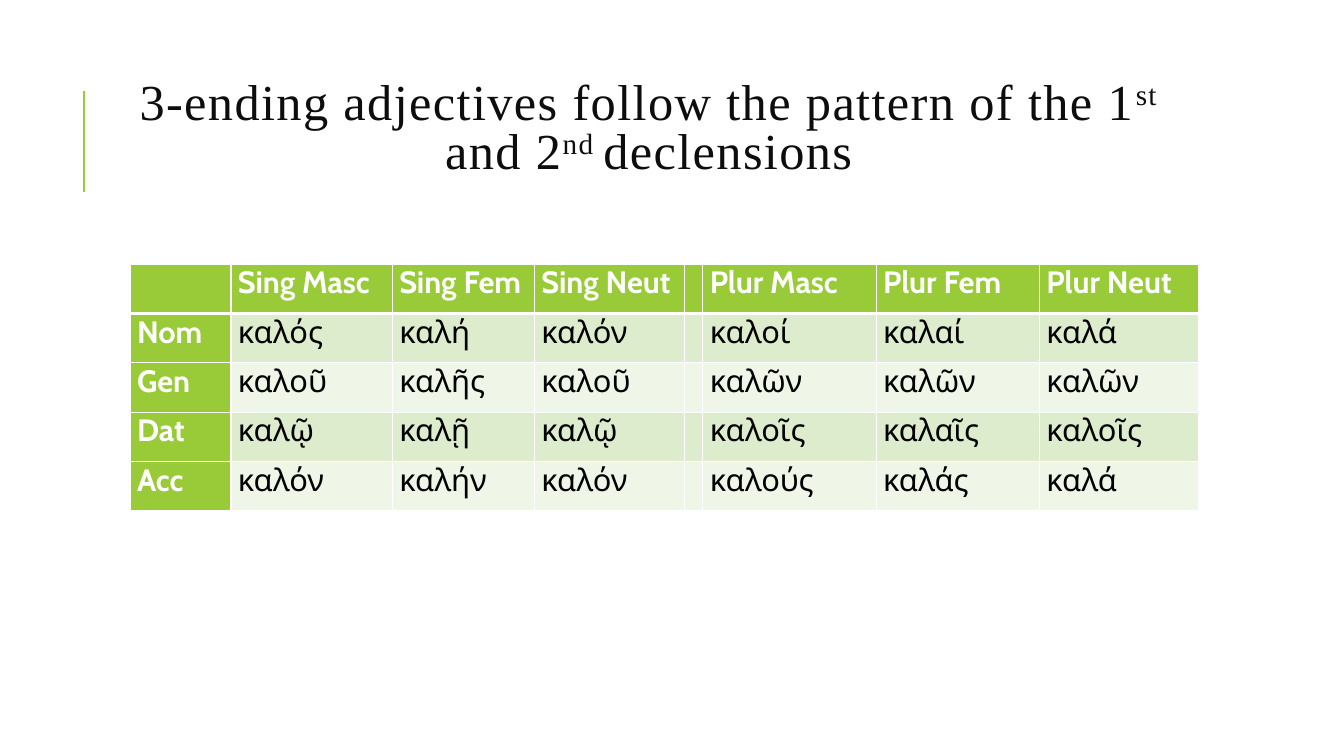
"""Build a slide showing the declension of three-ending Greek adjectives."""
from dataclasses import dataclass
from lxml import etree
from pptx import Presentation
from pptx.dml.color import RGBColor
from pptx.enum.shapes import MSO_CONNECTOR
from pptx.enum.text import MSO_ANCHOR, PP_ALIGN
from pptx.oxml.ns import qn
from pptx.util import Inches, Pt

STRAIGHT = MSO_CONNECTOR.STRAIGHT
MIDDLE = MSO_ANCHOR.MIDDLE
CENTER = PP_ALIGN.CENTER

TITLE = [
    ("3-ending adjectives follow the pattern of the 1", False),
    ("st", True),
    (" and 2", False),
    ("nd ", True),
    ("declensions", False),
]
DECLENSION = [
    ("", "Sing Masc", "Sing Fem", "Sing Neut", "", "Plur Masc", "Plur Fem", "Plur Neut"),
    ("Nom", "καλός", "καλή", "καλόν", "", "καλοί", "καλαί", "καλά"),
    ("Gen", "καλοῦ", "καλῆς", "καλοῦ", "", "καλῶν", "καλῶν", "καλῶν"),
    ("Dat", "καλῷ", "καλῇ", "καλῷ", "", "καλοῖς", "καλαῖς", "καλοῖς"),
    ("Acc", "καλόν", "καλήν", "καλόν", "", "καλούς", "καλάς", "καλά"),
]
COLUMN_WIDTHS = (1, 1.6, 1.41, 1.49, 0.18, 1.72, 1.62, 1.58)
ROW_HEIGHT = 0.49
TABLE_LEFT, TABLE_TOP = 1.29, 2.62
TITLE_AREA = (1.12, 0.64, 10.63, 1.31)
ACCENT_LINE = (0.83, 1.9, 0.83, 0.9)


@dataclass(frozen=True)
class Theme:
    """Colours, fonts and sizes."""
    accent: str = "99CB38"
    bands: tuple = ("EFF6E8", "DEECCE")
    white: str = "FFFFFF"
    black: str = "000000"
    title_color: str = "0D0D0D"
    title_font: str = "Times New Roman"
    table_font: str = "Cabin"
    title_size: int = 36
    table_size: int = 22


THEME = Theme()


def set_all(target, values):
    for name, value in values.items():
        setattr(target, name, value)


def style_font(font, name, size, color, bold=False):
    set_all(font, {"name": name, "size": Pt(size), "bold": bold})
    font.color.rgb = RGBColor.from_string(color)


def add_accent_line(page):
    line = page.shapes.add_connector(STRAIGHT, *map(Inches, ACCENT_LINE))
    line.line.color.rgb = RGBColor.from_string(THEME.accent)
    line.line.width = Pt(1.5)
    etree.SubElement(line._element.spPr, qn("a:effectLst"))


def add_title(page):
    frame = page.shapes.add_textbox(*map(Inches, TITLE_AREA)).text_frame
    set_all(frame, {"word_wrap": True, "vertical_anchor": MIDDLE})
    para = frame.paragraphs[0]
    set_all(para, {"alignment": CENTER, "line_spacing": 0.8})
    for text, raised in TITLE:
        span = para.add_run()
        span.text = text
        style_font(span.font, THEME.title_font, THEME.title_size, THEME.title_color)
        properties = span._r.get_or_add_rPr()
        properties.set("spc", "100")
        if raised:
            properties.set("baseline", "30000")


def add_borders(cell, bottom):
    properties = cell._tc.get_or_add_tcPr()
    for side, width in {"L": 1, "R": 1, "T": 1, "B": bottom}.items():
        edge = etree.SubElement(properties, qn(f"a:ln{side}"), w=str(Pt(width)))
        fill = etree.SubElement(edge, qn("a:solidFill"))
        etree.SubElement(fill, qn("a:srgbClr"), val=THEME.white)


def fill_cell(cell, text, row, column):
    heading = row == 0 or column == 0
    add_borders(cell, 3 if row == 0 else 1)
    cell.fill.solid()
    color = THEME.accent if heading else THEME.bands[row % 2]
    cell.fill.fore_color.rgb = RGBColor.from_string(color)
    set_all(cell, {"margin_left": Inches(0.07), "margin_right": Inches(0.07),
                   "margin_top": 0, "margin_bottom": 0})
    if text:
        span = cell.text_frame.paragraphs[0].add_run()
        span.text = text
        style_font(span.font, THEME.table_font, THEME.table_size,
                   THEME.white if heading else THEME.black, heading)


def add_declension(page):
    area = (TABLE_LEFT, TABLE_TOP, sum(COLUMN_WIDTHS), ROW_HEIGHT * len(DECLENSION))
    table = page.shapes.add_table(
        len(DECLENSION), len(COLUMN_WIDTHS), *map(Inches, area)).table
    table.first_col = True
    for column, width in zip(table.columns, COLUMN_WIDTHS):
        column.width = Inches(width)
    for row, forms in enumerate(DECLENSION):
        table.rows[row].height = Inches(ROW_HEIGHT)
        for column, text in enumerate(forms):
            fill_cell(table.cell(row, column), text, row, column)


def main():
    deck = Presentation()
    set_all(deck, {"slide_width": Inches(13.33), "slide_height": Inches(7.5)})
    page = deck.slides.add_slide(deck.slide_layouts[6])
    add_accent_line(page)
    add_title(page)
    add_declension(page)
    deck.save("out.pptx")


if __name__ == "__main__":
    main()
